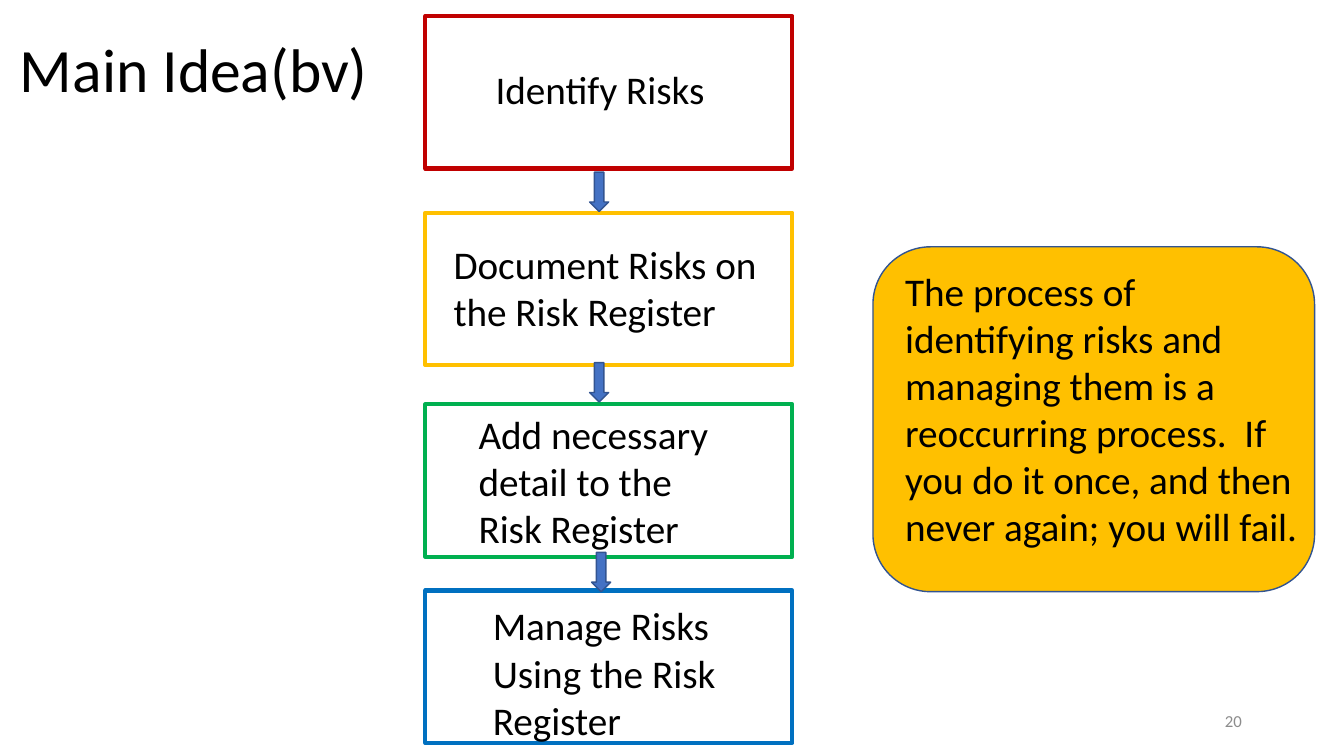
from dataclasses import dataclass

from pptx import Presentation
from pptx.dml.color import RGBColor
from pptx.enum.shapes import MSO_SHAPE as Preset
from pptx.enum.text import MSO_ANCHOR as Anchor, MSO_AUTO_SIZE as AutoSize, PP_ALIGN as Align
from pptx.shapes.autoshape import Shape
from pptx.slide import Slide
from pptx.util import Cm, Pt


@dataclass(frozen=True)
class Theme:
    font: str = "Calibri"
    title_size: float = 44
    body_size: float = 28
    number_size: float = 12
    text: str = "000000"
    number: str = "8C8C8C"
    arrow: str = "4472C4"
    outline: str = "325491"
    red: str = "C00000"
    amber: str = "FFC000"
    green: str = "00B050"
    blue: str = "0070C0"
    thick: float = 3
    thin: float = 1


@dataclass(frozen=True)
class Area:
    left: float
    top: float
    width: float
    height: float

    def lengths(self) -> tuple[Cm, Cm, Cm, Cm]:
        return Cm(self.left), Cm(self.top), Cm(self.width), Cm(self.height)


@dataclass(frozen=True)
class Step:
    text: str
    color: str
    top: float
    label: Area
    wrap: bool = True


@dataclass(frozen=True)
class Arrow:
    left: float
    top: float


THEME = Theme()
STEP_LEFT, STEP_WIDTH, STEP_HEIGHT = 10.72, 9.25, 3.84
ARROW_WIDTH, ARROW_HEIGHT = 0.48, 0.99

STEPS = [
    Step("Identify Risks", THEME.red, 0.41, Area(12.24, 1.52, 5.84, 1.45), wrap=False),
    Step("Document Risks on the Risk Register", THEME.amber, 5.36, Area(11.18, 5.94, 8.61, 2.64)),
    Step("Add necessary detail to the Risk Register", THEME.green, 10.19, Area(11.81, 10.21, 6.55, 3.84)),
    Step("Manage Risks Using the Risk Register", THEME.blue, 14.88, Area(12.17, 15.04, 6.3, 3.84)),
]
ARROWS = [Arrow(14.86, 4.34), Arrow(14.86, 9.14), Arrow(14.91, 13.92)]
CALLOUT = Area(22, 6.22, 11.13, 8.69)
CALLOUT_LABEL = Area(22.56, 6.6, 10.57, 7.44)
CALLOUT_TEXT = (
    "The process of identifying risks and managing them is a reoccurring process.  "
    "If you do it once, and then never again; you will fail."
)


def apply_format(target: object, values: dict[str, object]) -> None:
    for name, value in values.items():
        setattr(target, name, value)


def write_text(shape: Shape, text: str, size: float, color: str = THEME.text,
               frame: dict[str, object] | None = None,
               paragraph: dict[str, object] | None = None) -> None:
    text_frame = shape.text_frame
    text_frame.text = text
    apply_format(text_frame, {"word_wrap": True, **(frame or {})})
    first_paragraph = text_frame.paragraphs[0]
    apply_format(first_paragraph, {"alignment": Align.LEFT, **(paragraph or {})})
    font = first_paragraph.runs[0].font
    apply_format(font, {"name": THEME.font, "size": Pt(size)})
    font.color.rgb = RGBColor.from_string(color)


def add_label(slide: Slide, area: Area, text: str, wrap: bool = True) -> None:
    label = slide.shapes.add_textbox(*area.lengths())
    write_text(label, text, THEME.body_size,
               frame={"word_wrap": wrap, "auto_size": AutoSize.SHAPE_TO_FIT_TEXT})


def add_block(slide: Slide, preset: Preset, area: Area, line: str,
              line_width: float, fill: str | None = None) -> None:
    shape = slide.shapes.add_shape(preset, *area.lengths())
    shape.shadow.inherit = False
    if fill is None:
        shape.fill.background()
    else:
        shape.fill.solid()
        shape.fill.fore_color.rgb = RGBColor.from_string(fill)
    shape.line.color.rgb = RGBColor.from_string(line)
    shape.line.width = Pt(line_width)


def main() -> None:
    presentation = Presentation()
    apply_format(presentation, {"slide_width": Cm(33.87), "slide_height": Cm(19.05)})
    slide = presentation.slides.add_slide(presentation.slide_layouts[5])

    # Title
    title = slide.shapes.title
    left, top, width, height = Area(0.25, 0, 29.21, 3.68).lengths()
    apply_format(title, {"left": left, "top": top, "width": width, "height": height})
    write_text(title, "Main Idea(bv)", THEME.title_size,
               frame={"vertical_anchor": Anchor.MIDDLE, "auto_size": AutoSize.NONE},
               paragraph={"line_spacing": 0.9})

    # Slide number
    number = slide.shapes.add_textbox(*Area(23.93, 17.65, 7.62, 1.02).lengths())
    write_text(number, "20", THEME.number_size, THEME.number,
               frame={"vertical_anchor": Anchor.MIDDLE},
               paragraph={"alignment": Align.RIGHT})

    # Step frames, arrows between them, and step labels on top
    for step in STEPS:
        area = Area(STEP_LEFT, step.top, STEP_WIDTH, STEP_HEIGHT)
        add_block(slide, Preset.RECTANGLE, area, step.color, THEME.thick)
    for arrow in ARROWS:
        area = Area(arrow.left, arrow.top, ARROW_WIDTH, ARROW_HEIGHT)
        add_block(slide, Preset.DOWN_ARROW, area, THEME.outline, THEME.thin, THEME.arrow)
    for step in STEPS:
        add_label(slide, step.label, step.text, step.wrap)

    # Callout
    add_block(slide, Preset.ROUNDED_RECTANGLE, CALLOUT, THEME.outline, THEME.thin, THEME.amber)
    add_label(slide, CALLOUT_LABEL, CALLOUT_TEXT)

    presentation.save("out.pptx")


if __name__ == "__main__":
    main()
